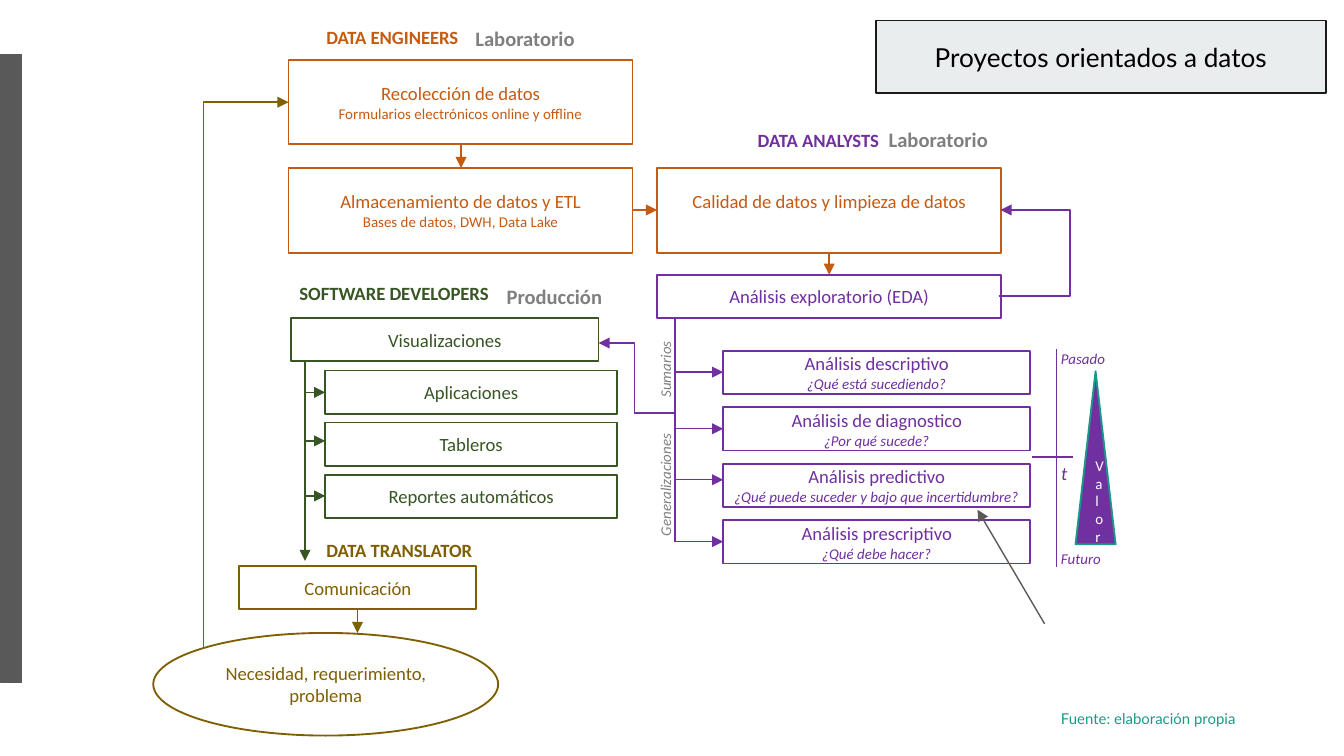
"""Builds the slide on data-driven projects: roles, process boxes and arrows."""
from dataclasses import dataclass
from typing import Optional

from lxml import etree
from pptx import Presentation
from pptx import util as u
from pptx.dml import color
from pptx.enum import shapes, text
from pptx.oxml import ns

ORANGE, PURPLE, GREEN, OLIVE = "C55A11", "7030A0", "385623", "7F6000"
GREY, DARK, TEAL, WHITE, BLACK = "7F7F7F", "595959", "1A9988", "FFFFFF", "000000"
KIND = shapes.MSO_SHAPE


@dataclass
class Box:
    left: float
    top: float
    width: float
    height: float
    ink: str
    title: str = ""
    detail: str = ""
    italic: bool = False
    kind: KIND = KIND.RECTANGLE
    fill: Optional[str] = None
    line: Optional[str] = None
    weight: float = 1
    size: float = 10
    font: str = "Calibri"
    inset: tuple = (5.4, 2.7, 5.4, 2.7)


@dataclass
class Label:
    left: float
    top: float
    width: float
    height: float
    words: str
    ink: str
    size: float = 10
    bold: bool = False
    italic: bool = False
    font: str = "Calibri"
    turn: float = 0


@dataclass
class Link:
    x1: float
    y1: float
    x2: float
    y2: float
    ink: str
    arrow: bool = True
    bend: Optional[float] = None


def rgb(code: str) -> color.RGBColor:
    """Turns a hex string into a colour."""
    return color.RGBColor.from_string(code)


def set_frame(frame, inset: tuple, anchor) -> None:
    """Sets wrapping, insets and anchor of a text frame."""
    frame.word_wrap = True
    frame.vertical_anchor = anchor
    frame.margin_left, frame.margin_top, frame.margin_right, frame.margin_bottom = map(u.Pt, inset)


def add_span(para, words: str, ink: str, size: float, font: str, bold=False, italic=False) -> None:
    """Adds one formatted run to a paragraph."""
    span = para.add_run()
    span.text = words
    span.font.name, span.font.size = font, u.Pt(size)
    span.font.bold, span.font.italic = bold, italic
    span.font.color.rgb = rgb(ink)


def draw_box(page, box: Box) -> None:
    """Draws a shape with a title and an optional detail line."""
    shape = page.shapes.add_shape(box.kind, *map(u.Pt, (box.left, box.top, box.width, box.height)))
    shape.shadow.inherit = False
    if box.fill:
        shape.fill.solid()
        shape.fill.fore_color.rgb = rgb(box.fill)
    else:
        shape.fill.background()
    shape.line.color.rgb = rgb(box.line or box.ink)
    shape.line.width = u.Pt(box.weight)
    frame = shape.text_frame
    set_frame(frame, box.inset, text.MSO_ANCHOR.MIDDLE)
    para = frame.paragraphs[0]
    para.alignment = text.PP_ALIGN.CENTER
    if box.title:
        add_span(para, box.title, box.ink, box.size, box.font)
    if box.detail:
        para = frame.add_paragraph()
        para.alignment = text.PP_ALIGN.CENTER
        add_span(para, box.detail, box.ink, 8, box.font, italic=box.italic)


def draw_label(page, label: Label) -> None:
    """Draws a free text label."""
    shape = page.shapes.add_textbox(*map(u.Pt, (label.left, label.top, label.width, label.height)))
    shape.rotation = label.turn
    set_frame(shape.text_frame, (5.4, 2.7, 5.4, 2.7), text.MSO_ANCHOR.TOP)
    add_span(shape.text_frame.paragraphs[0], label.words, label.ink, label.size,
             label.font, label.bold, label.italic)


def draw_link(page, link: Link) -> None:
    """Draws a straight or bent connector, with or without an arrowhead."""
    kind = shapes.MSO_CONNECTOR.STRAIGHT if link.bend is None else shapes.MSO_CONNECTOR.ELBOW
    shape = page.shapes.add_connector(kind, *map(u.Pt, (link.x1, link.y1, link.x2, link.y2)))
    shape.line.color.rgb = rgb(link.ink)
    shape.line.width = u.Pt(0.75)
    properties = shape._element.spPr
    if link.arrow:
        etree.SubElement(properties.find(ns.qn("a:ln")), ns.qn("a:tailEnd"), type="triangle")
    etree.SubElement(properties, ns.qn("a:effectLst"))
    if link.bend is not None:
        guides = properties.find(ns.qn("a:prstGeom")).get_or_add_avLst()
        etree.SubElement(guides, ns.qn("a:gd"), name="adj1", fmla=f"val {round(link.bend * 100000)}")


ANALYSES = [
    ("Análisis descriptivo", "¿Qué está sucediendo?", 199.4),
    ("Análisis de diagnostico", "¿Por qué sucede?", 229.7),
    ("Análisis predictivo", "¿Qué puede suceder y bajo que incertidumbre?", 257),
    ("Análisis prescriptivo", "¿Qué debe hacer?", 290.2),
]
PRODUCTS = [("Aplicaciones", 210.2), ("Tableros", 236.2), ("Reportes automáticos", 265.7)]

BOXES = [
    Box(0.4, 29.2, 11, 336.2, DARK, fill=DARK, weight=0.25),
    Box(154.6, 32, 184.3, 45.4, ORANGE, "Recolección de datos", "Formularios electrónicos online y offline"),
    Box(154.6, 90, 184.3, 45.4, ORANGE, "Almacenamiento de datos y ETL", "Bases de datos, DWH, Data Lake"),
    Box(352, 90, 184.3, 45.4, ORANGE, "Calidad de datos y limpieza de datos", inset=(5.4, 2.7, 5.4, 12.5)),
    Box(352, 147.2, 184.3, 23.2, PURPLE, "Análisis exploratorio (EDA)"),
    *[Box(387.4, 187.9 + 30.3 * i, 164.5, 23.2, PURPLE, title, detail, True)
      for i, (title, detail, _) in enumerate(ANALYSES)],
    Box(155.8, 170.4, 164.9, 23.2, GREEN, "Visualizaciones"),
    *[Box(174.2, 198.5 + 27.9 * i, 156.4, 23.2, GREEN, title) for i, (title, _) in enumerate(PRODUCTS)],
    Box(128.2, 303.3, 126.9, 23.2, OLIVE, "Comunicación"),
    Box(82.1, 339.1, 184.8, 55, OLIVE, "Necesidad, requerimiento, problema", kind=KIND.OVAL),
    Box(576.2, 198.9, 21.5, 92.7, WHITE, "Valor", kind=KIND.ISOSCELES_TRIANGLE, fill=PURPLE, line=TEAL, size=8),
    Box(469.2, 10.9, 241.2, 39, BLACK, "Proyectos orientados a datos", fill="E9EDEE", line="1A1A1A",
        weight=0.75, size=14, font="Lato", inset=(7.2, 7.2, 7.2, 7.2)),
]

LABELS = [
    Label(169.4, 10.9, 87, 29.5, "DATA ENGINEERS", ORANGE, bold=True),
    Label(400.5, 66.2, 80.6, 29.5, "DATA ANALYSTS", PURPLE, bold=True),
    Label(155, 148.5, 129, 17.3, "SOFTWARE DEVELOPERS", GREEN, bold=True),
    Label(169.4, 286, 93, 29.5, "DATA TRANSLATOR", OLIVE, bold=True),
    Label(249.3, 11, 66, 32.4, "Laboratorio", GREY, 11, True),
    Label(470.7, 65.5, 66, 32.4, "Laboratorio", GREY, 11, True),
    Label(266, 149.2, 64, 32.4, "Producción", GREY, 11, True),
    Label(563, 184.6, 39, 16.7, "Pasado", PURPLE, 8, italic=True),
    Label(563, 245, 15, 17.3, "t", PURPLE, italic=True),
    Label(563, 292, 39, 16.7, "Futuro", PURPLE, 8, italic=True),
    Label(333.4, 187.9, 46, 15.1, "Sumarios", GREY, 8, italic=True, turn=270),
    Label(324.7, 244.1, 72.7, 24.5, "Generalizaciones", GREY, 8, italic=True, turn=270),
    Label(563, 377.3, 117, 15.1, "Fuente: elaboración propia", TEAL, 8, font="Lato"),
]

LINKS = [
    Link(247, 77.4, 247, 90, ORANGE),
    Link(338.8, 112.5, 352, 112.5, ORANGE),
    Link(444.2, 135.4, 444.2, 147.2, ORANGE),
    Link(535, 158.6, 536, 112.5, PURPLE, bend=38.5),
    Link(361.6, 170.4, 361.6, 290.2, PURPLE, False),
    Link(566, 187.2, 566, 303.8, PURPLE, False),
    Link(553, 244.8, 574.6, 244.8, PURPLE, False),
    *[Link(361.6, y, 387.4, y, PURPLE) for _, _, y in ANALYSES],
    Link(361.8, 221.3, 320.7, 183.8, PURPLE, bend=0.53),
    *[Link(164.2, y, 174.2, y, GREEN) for _, y in PRODUCTS],
    Link(163.4, 193.3, 163.4, 300.5, GREEN),
    Link(191.5, 326.5, 191.5, 339.1, OLIVE),
    Link(109, 347, 154.6, 54.8, OLIVE, bend=0),
    Link(559.6, 334.2, 523.7, 273.1, DARK),
]


def main() -> None:
    """Draws all parts and saves the deck."""
    deck = Presentation()
    deck.slide_width, deck.slide_height = u.Pt(720), u.Pt(405)
    page = deck.slides.add_slide(deck.slide_layouts[6])
    for box in BOXES:
        draw_box(page, box)
    for label in LABELS:
        draw_label(page, label)
    for link in LINKS:
        draw_link(page, link)
    deck.save("out.pptx")


if __name__ == "__main__":
    main()
